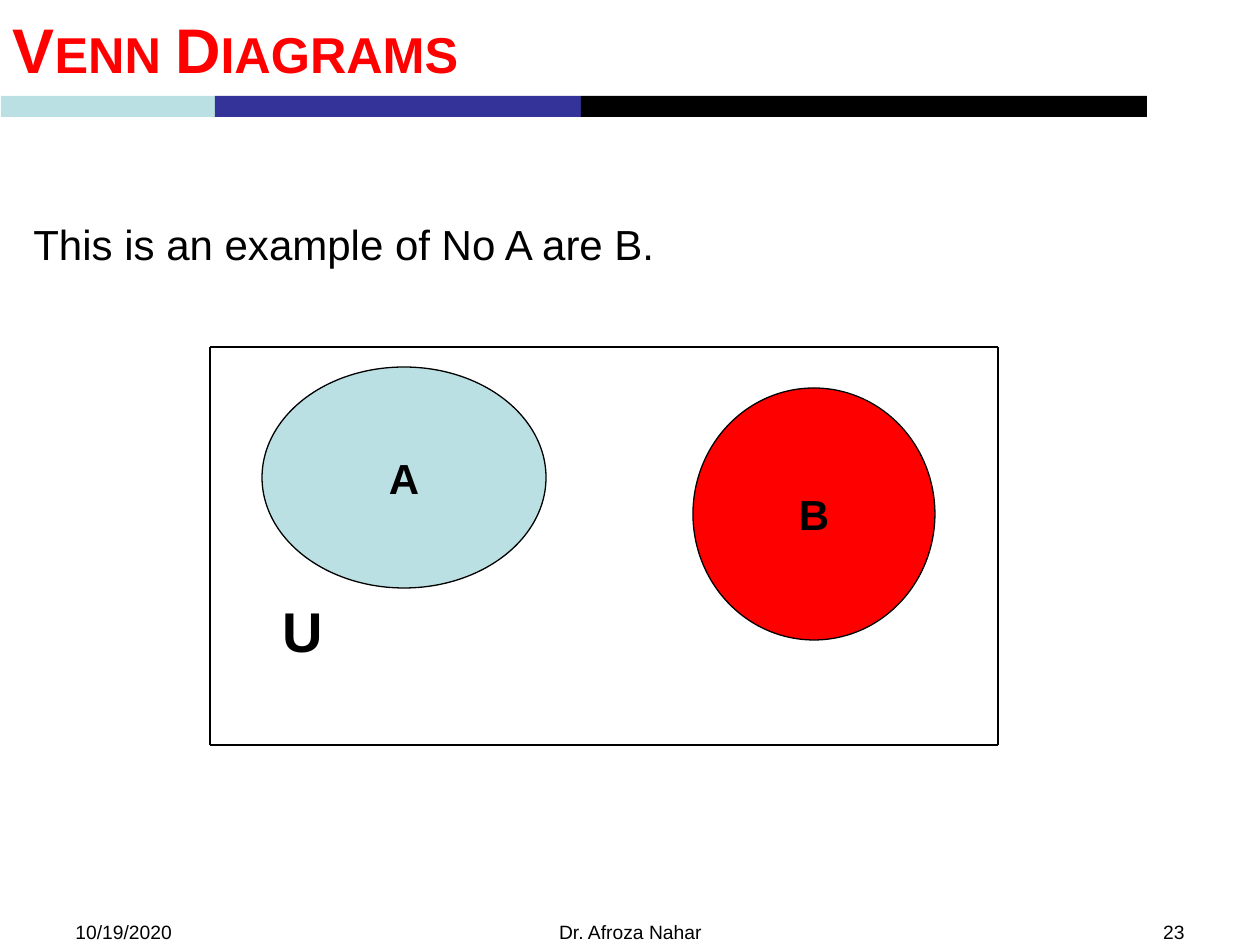
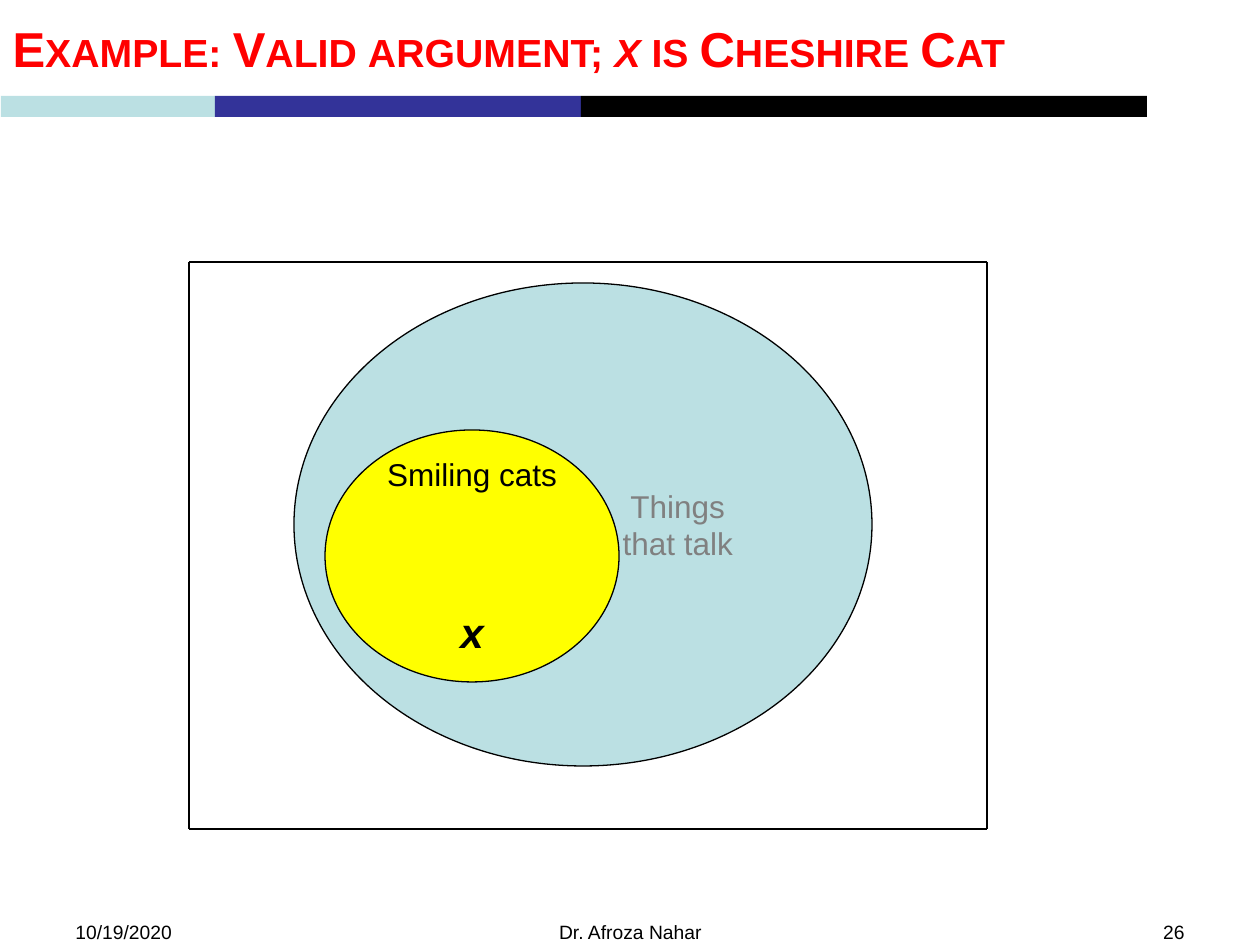
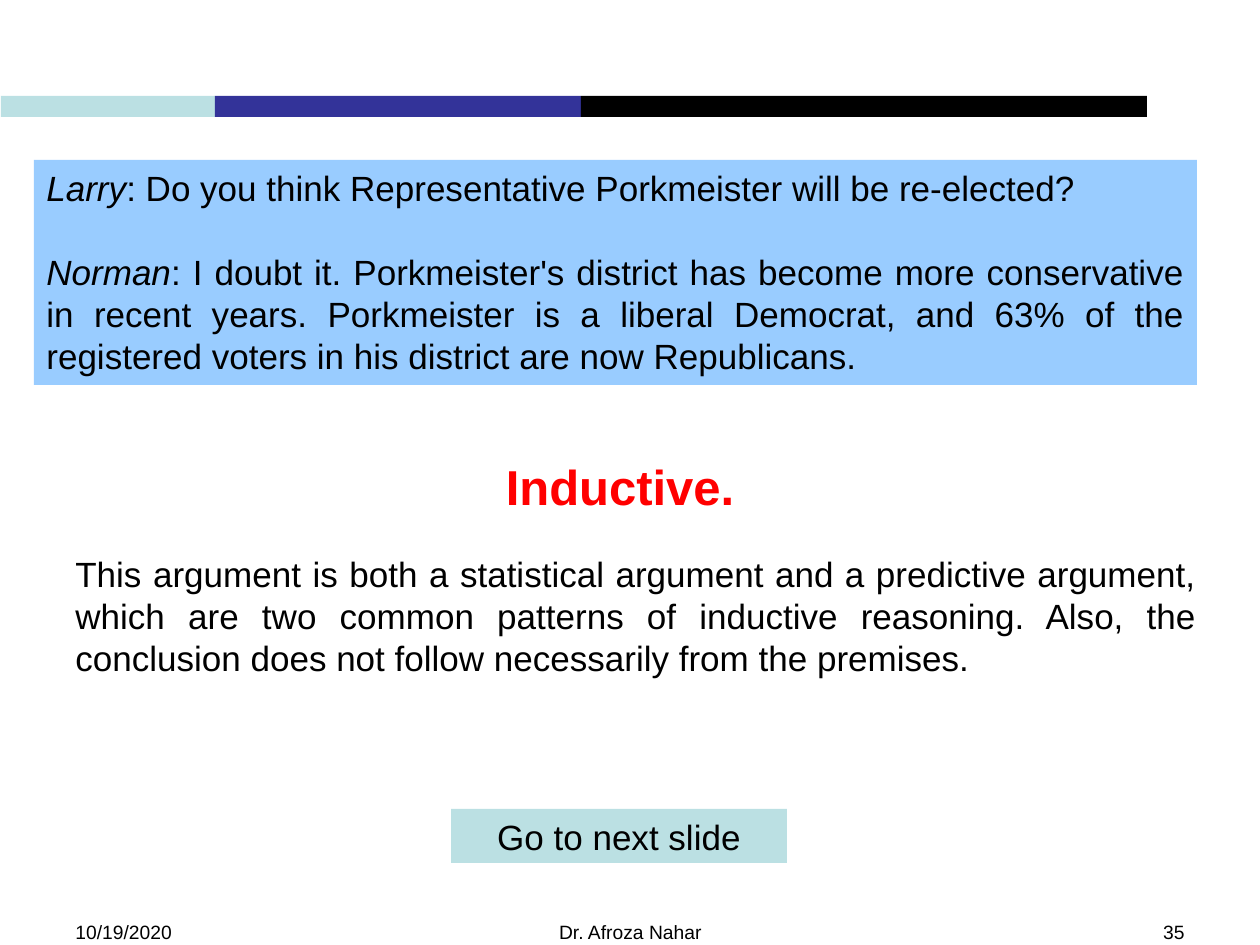
from dataclasses import dataclass
from itertools import accumulate

from pptx import Presentation
from pptx.dml.color import RGBColor
from pptx.enum.shapes import MSO_CONNECTOR as Connector, MSO_SHAPE as Preset
from pptx.enum.text import MSO_ANCHOR as Anchor, MSO_AUTO_SIZE as AutoSize, PP_ALIGN as Align
from pptx.oxml.ns import qn
from pptx.util import Emu, Pt


# Theme
class Theme:
    font = "Arial"
    pale, navy, black = "BBE0E3", "333399", "000000"
    red, yellow, sky, grey = "FF0000", "FFFF00", "99CCFF", "808080"
    footer, label, text, large, heading, universe = 11, 18, 20, 24, 28, 32
    hairline = 0.75


@dataclass
class Line:
    """One paragraph; parts between asterisks are italic."""
    text: str
    size: float = Theme.text
    color: str = Theme.black
    bold: bool = False
    align: Align = Align.LEFT
    before: float = 0


@dataclass
class Block:
    """A shape or text box; at is left, top, width, height in pixels."""
    at: tuple
    lines: list
    fill: str = None
    preset: Preset = None
    wrap: bool = True
    inset: int = None


def disc(at, fill, lines, wrap=False, inset=None):
    return Block(at, lines, fill, Preset.OVAL, wrap, inset)


def centred(text, size, color=Theme.black, bold=False, before=0):
    return Line(text, size, color, bold, Align.CENTER, before)


# Shared content
PIXEL = 914400 / 126
BANDS = [(Theme.pale, 214), (Theme.navy, 366), (Theme.black, 566)]
BAND_LEFT, BAND_TOP, BAND_HEIGHT = 1, 96, 21
TITLE_AT = (0, 0, 1147, 96)
FOOTER_TOP, FOOTER_HEIGHT = 914, 50
FOOTERS = [(63, 294, Align.LEFT), (431, 399, Align.CENTER), (903, 294, Align.RIGHT)]
DATE, AUTHOR = "10/19/2020", "Dr. Afroza Nahar"

# Slide content
SLIDES = [
    dict(
        number="23", title="Venn Diagrams", title_size=36,
        universe=(210, 347, 788, 398),
        blocks=[
            Block((21, 212, 1207, 62),
                  [Line("This is an example of No A are B.", Theme.large)]),
            Block((270, 590, 80, 76), [Line("U", Theme.universe, bold=True)]),
            disc((262, 367, 284, 221), Theme.pale, [centred("A", Theme.large, bold=True)]),
            disc((693, 388, 242, 252), Theme.red, [centred("B", Theme.large, bold=True)]),
        ]),
    dict(
        number="26", title="Example: Valid argument; *x* is Cheshire Cat",
        title_size=Theme.heading,
        universe=(189, 262, 798, 567),
        blocks=[
            disc((294, 283, 578, 483), Theme.pale,
                 [centred(text, Theme.label, Theme.grey) for text in ("Things", "that talk")],
                 wrap=True, inset=202),
            disc((325, 430, 294, 252), Theme.yellow,
                 [centred("Smiling cats", Theme.label),
                  centred("*x*", Theme.large, bold=True, before=65)]),
        ]),
    dict(
        number="35",
        blocks=[
            Block((34, 160, 1163, 225), [
                Line("*Larry*: Do you think Representative Porkmeister will be re-elected?",
                     align=Align.JUSTIFY),
                Line("*Norman*: I doubt it. Porkmeister's district has become more "
                     "conservative in recent years. Porkmeister is a liberal Democrat, "
                     "and 63% of the registered voters in his district are now Republicans.",
                     align=Align.JUSTIFY, before=24),
            ], Theme.sky, Preset.RECTANGLE),
            Block((63, 546, 1146, 139), [
                Line("This argument is both a statistical argument and a predictive "
                     "argument, which are two common patterns of inductive reasoning. "
                     "Also, the conclusion does not follow necessarily from the premises.",
                     align=Align.JUSTIFY)]),
            Block((31, 450, 1178, 72),
                  [centred("Inductive.", Theme.heading, Theme.red, bold=True)]),
            Block((451, 809, 336, 54), [centred("Go to next slide", Theme.text)],
                  Theme.pale, Preset.RECTANGLE),
        ]),
]


# Helpers
def px(*lengths):
    return [Emu(round(length * PIXEL)) for length in lengths]


def rgb(color):
    return RGBColor.from_string(color)


def write(frame, lines, anchor=Anchor.TOP, wrap=True):
    frame.auto_size = AutoSize.NONE
    frame.word_wrap = wrap
    frame.vertical_anchor = anchor
    for index, line in enumerate(lines):
        para = frame.add_paragraph() if index else frame.paragraphs[0]
        para.alignment = line.align
        para.space_before = Pt(line.before)
        font = para.font
        font.name, font.size, font.bold = Theme.font, Pt(line.size), line.bold
        font.color.rgb = rgb(line.color)
        for part, text in enumerate(line.text.split("*")):
            if text:
                span = para.add_run()
                span.text = text
                span.font.italic = part % 2 == 1


def add_filled(page, preset, at, fill):
    shape = page.shapes.add_shape(preset, *px(*at))
    shape.shadow.inherit = False
    shape.fill.solid()
    shape.fill.fore_color.rgb = rgb(fill)
    shape.line.fill.background()
    return shape


def add_block(page, block):
    anchor = Anchor.TOP
    if block.preset is None:
        box = page.shapes.add_textbox(*px(*block.at))
    else:
        box = add_filled(page, block.preset, block.at, block.fill)
        if block.preset == Preset.OVAL:
            anchor = Anchor.MIDDLE
            box.line.color.rgb = rgb(Theme.black)
            box.line.width = Pt(Theme.hairline)
    if block.inset is not None:
        box.text_frame.margin_left = px(block.inset)[0]
    write(box.text_frame, block.lines, anchor, block.wrap)


def add_universe(page, at):
    left, top, width, height = at
    right, bottom = left + width, top + height
    corners = [(left, top), (right, top), (right, bottom), (left, bottom)]
    for start, end in zip(corners, corners[1:] + corners[:1]):
        edge = page.shapes.add_connector(Connector.STRAIGHT, *px(*start, *end))
        edge.line.color.rgb = rgb(Theme.black)
        edge.line.width = Pt(Theme.hairline)
        properties = edge.element.spPr
        properties.append(properties.makeelement(qn("a:effectLst"), {}))


def add_title(page, text, size):
    title = page.shapes.title
    title.left, title.top, title.width, title.height = px(*TITLE_AT)
    write(title.text_frame, [Line(text, size, Theme.red, True, before=size * 0.2)],
          Anchor.MIDDLE)
    for properties in title.element.iter(qn("a:rPr")):
        properties.set("cap", "small")


def add_footers(page, number):
    for (left, width, align), text in zip(FOOTERS, (DATE, AUTHOR, number)):
        add_block(page, Block((left, FOOTER_TOP, width, FOOTER_HEIGHT),
                              [Line(text, Theme.footer, align=align)]))


def move_bands_to_master(page, master):
    lefts = accumulate((width for _, width in BANDS), initial=BAND_LEFT)
    for index, (left, (fill, width)) in enumerate(zip(lefts, BANDS)):
        band = add_filled(page, Preset.RECTANGLE, (left, BAND_TOP, width, BAND_HEIGHT), fill)
        for identity in band.element.iter(qn("p:cNvPr")):
            identity.set("id", str(100 + index))
        master.shapes.element.append(band.element)


# Build the deck
deck = Presentation()
deck.slide_width, deck.slide_height = px(1260, 945)
title_only, blank = deck.slide_layouts[5], deck.slide_layouts[6]

for content in SLIDES:
    page = deck.slides.add_slide(title_only if "title" in content else blank)
    if "title" in content:
        add_title(page, content["title"], content["title_size"])
    add_footers(page, content["number"])
    for block in content["blocks"]:
        add_block(page, block)
    if "universe" in content:
        add_universe(page, content["universe"])

move_bands_to_master(deck.slides[0], deck.slide_master)
deck.save("out.pptx")
